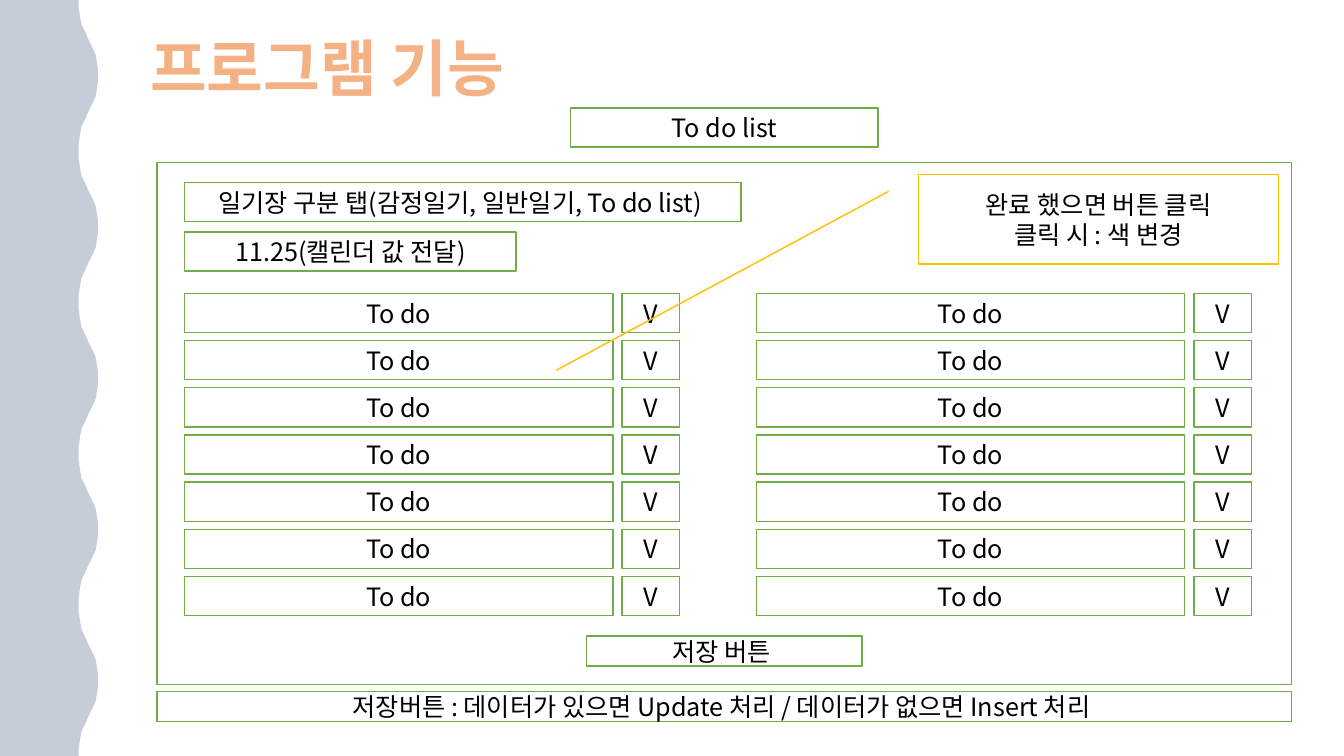
from dataclasses import dataclass

from lxml import etree
from pptx import Presentation
from pptx.dml.color import RGBColor
from pptx.enum.shapes import MSO_SHAPE
from pptx.enum.text import MSO_ANCHOR, MSO_AUTO_SIZE, PP_ALIGN
from pptx.oxml import parse_xml
from pptx.oxml.ns import nsdecls, qn
from pptx.shapes.autoshape import Shape
from pptx.slide import Slide
from pptx.text.text import Font, TextFrame
from pptx.util import Inches, Pt

RECTANGLE = MSO_SHAPE.RECTANGLE
CALLOUT = MSO_SHAPE.LINE_CALLOUT_1
LEFT, CENTER = PP_ALIGN.LEFT, PP_ALIGN.CENTER
TOP, MIDDLE = MSO_ANCHOR.TOP, MSO_ANCHOR.MIDDLE
TITLE_ONLY_LAYOUT = 5
SLIDE_WIDTH, SLIDE_HEIGHT = Inches(13.33), Inches(7.5)


@dataclass(frozen=True)
class Theme:
    """Colours, type sizes and line width of the slide."""

    font: str = "Noto Sans CJK KR"
    title_size: int = 44
    body_size: int = 18
    line_width: int = 1
    text: str = "000000"
    paper: str = "FFFFFF"
    green: str = "70AD47"
    gold: str = "FFC000"
    navy: str = "203864"
    navy_opacity: int = 25
    title_outline: str = "C55A11"
    title_stops: tuple[tuple[int, str], ...] = ((0, "ED7D31"), (4, "F4B183"), (87, "FBE5D6"))


@dataclass(frozen=True)
class Panel:
    """A bordered box placed in percent of the slide's width and height."""

    left: float
    top: float
    width: float
    height: float
    text: str = ""
    border: str = Theme.green
    geometry: MSO_SHAPE = RECTANGLE
    adjustments: tuple[float, ...] = ()


THEME = Theme()
MARGIN = 13.73
FRAME_LEFT, FRAME_WIDTH = 11.7, 84.4
FIELD_HEIGHT, BUTTON_HEIGHT = 5.2, 4
TODO_TOP, TODO_ROWS, ROW_STEP = 38.8, 7, 6.24
TODO_COLUMNS, COLUMN_STEP = 2, 42.54
TODO_WIDTH, CHECK_OFFSET, CHECK_WIDTH = 31.88, 32.56, 4.28

WAVE_COUNT, WAVE_LENGTH = 5, 20
WAVE_RISE = (
    (5.85, 0), (5.85, 0.93), (5.93, 1.87), (6, 2.67), (6.08, 3.33),
    (6.23, 3.87), (6.38, 4.4), (6.53, 5.07), (6.68, 5.6), (6.83, 6.13),
    (6.98, 6.67), (7.13, 7.33), (7.2, 8.13), (7.28, 9.07), (7.28, 10),
)

HEADER_PANELS = (
    Panel(FRAME_LEFT, 21.47, FRAME_WIDTH, 69.07),
    Panel(MARGIN, 30.67, 24.68, FIELD_HEIGHT, "11.25(캘린더 값 전달)"),
    Panel(42.46, 14.27, 22.88, FIELD_HEIGHT, "To do list"),
)
CLOSING_PANELS = (
    Panel(43.66, 84.13, 20.48, BUTTON_HEIGHT, "저장 버튼 "),
    Panel(FRAME_LEFT, 91.47, FRAME_WIDTH, BUTTON_HEIGHT,
          "저장버튼 : 데이터가 있으면 Update 처리 / 데이터가 없으면 Insert 처리 "),
    Panel(68.34, 23.07, 26.78, 11.87, "완료 했으면 버튼 클릭\n클릭 시 : 색 변경",
          THEME.gold, CALLOUT, (0.188, -0.083, 2.182, -1.006)),
    Panel(MARGIN, 24.13, 41.41, FIELD_HEIGHT, "일기장 구분 탭(감정일기, 일반일기, To do list) "),
)


def across(percent: float) -> int:
    """Turn a share of the slide's width into a length."""
    return round(SLIDE_WIDTH * percent / 100)


def down(percent: float) -> int:
    """Turn a share of the slide's height into a length."""
    return round(SLIDE_HEIGHT * percent / 100)


def write_text(frame: TextFrame, text: str, *, size: int = THEME.body_size,
               bold: bool = False, align: PP_ALIGN = CENTER,
               anchor: MSO_ANCHOR = MIDDLE, spacing: float = 1.0) -> list[Font]:
    """Write one paragraph per line and return the fonts used."""
    frame.word_wrap = True
    frame.auto_size = MSO_AUTO_SIZE.NONE
    frame.vertical_anchor = anchor
    fonts = []
    for index, line in enumerate(text.split("\n")):
        paragraph = frame.add_paragraph() if index else frame.paragraphs[0]
        paragraph.alignment = align
        paragraph.line_spacing = spacing
        run = paragraph.add_run()
        run.text = line
        font = run.font
        font.size, font.bold, font.name = Pt(size), bold, THEME.font
        font.color.rgb = RGBColor.from_string(THEME.text)
        properties = run._r.get_or_add_rPr()
        etree.SubElement(properties, qn("a:ea"), typeface=THEME.font)
        fonts.append(font)
    return fonts


def paint_title(font: Font) -> None:
    """Give the title its gradient fill and thin outline."""
    properties = font._element
    properties.remove(properties.find(qn("a:solidFill")))
    stops = "".join(
        f'<a:gs pos="{position * 1000}"><a:srgbClr val="{color}"/></a:gs>'
        for position, color in THEME.title_stops
    )
    gradient = parse_xml(
        f'<a:gradFill {nsdecls("a")}><a:gsLst>{stops}</a:gsLst><a:lin ang="5400000"/></a:gradFill>'
    )
    outline = parse_xml(
        f'<a:ln {nsdecls("a")} w="{Pt(THEME.line_width)}"><a:solidFill>'
        f'<a:srgbClr val="{THEME.title_outline}"/></a:solidFill></a:ln>'
    )
    properties.insert(0, outline)
    properties.insert(1, gradient)


def add_title(slide: Slide, text: str) -> None:
    """Place and format the title placeholder."""
    title = slide.shapes.title
    title.left, title.top = across(10.43), down(4.4)
    title.width, title.height = across(83.27), down(21.73)
    fonts = write_text(title.text_frame, text, size=THEME.title_size, bold=True,
                       align=LEFT, anchor=TOP, spacing=0.9)
    paint_title(fonts[0])


def fill_shape(shape: Shape, color: str) -> None:
    """Fill a shape with a solid colour and drop its shadow."""
    shape.shadow.inherit = False
    shape.fill.solid()
    shape.fill.fore_color.rgb = RGBColor.from_string(color)


def add_wave(slide: Slide, color: str, opacity: int = 100) -> None:
    """Draw the wavy band along the left edge."""
    fall = [(x, WAVE_LENGTH - y) for x, y in reversed(WAVE_RISE[1:-1])]
    edge = [
        (across(x), down(y + wave * WAVE_LENGTH))
        for wave in range(WAVE_COUNT)
        for x, y in (*WAVE_RISE, *fall)
    ]
    corners = [(across(WAVE_RISE[0][0]), SLIDE_HEIGHT), (0, SLIDE_HEIGHT)]
    builder = slide.shapes.build_freeform(0, 0)
    builder.add_line_segments(edge + corners, close=True)
    band = builder.convert_to_shape()
    fill_shape(band, color)
    band.line.fill.background()
    if opacity < 100:
        swatch = band._element.spPr.find(qn("a:solidFill"))[0]
        etree.SubElement(swatch, qn("a:alpha"), val=str(opacity * 1000))


def add_panel(slide: Slide, panel: Panel) -> None:
    """Draw one bordered box with its text."""
    shape = slide.shapes.add_shape(panel.geometry, across(panel.left), down(panel.top),
                                   across(panel.width), down(panel.height))
    fill_shape(shape, THEME.paper)
    shape.line.color.rgb = RGBColor.from_string(panel.border)
    shape.line.width = Pt(THEME.line_width)
    for index, value in enumerate(panel.adjustments):
        shape.adjustments[index] = value
    if panel.text:
        write_text(shape.text_frame, panel.text)


def todo_panels() -> list[Panel]:
    """Lay out the to-do fields and their check buttons."""
    return [
        Panel(MARGIN + column * COLUMN_STEP + offset, TODO_TOP + row * ROW_STEP,
              width, FIELD_HEIGHT, text)
        for column in range(TODO_COLUMNS)
        for row in range(TODO_ROWS)
        for offset, width, text in ((0, TODO_WIDTH, "To do"), (CHECK_OFFSET, CHECK_WIDTH, "V"))
    ]


def main() -> None:
    """Build the slide and save it."""
    presentation = Presentation()
    presentation.slide_width, presentation.slide_height = SLIDE_WIDTH, SLIDE_HEIGHT
    slide = presentation.slides.add_slide(presentation.slide_layouts[TITLE_ONLY_LAYOUT])
    add_title(slide, "프로그램 기능")
    add_wave(slide, THEME.paper)
    add_wave(slide, THEME.navy, THEME.navy_opacity)
    for panel in (*HEADER_PANELS, *todo_panels(), *CLOSING_PANELS):
        add_panel(slide, panel)
    presentation.save("out.pptx")


if __name__ == "__main__":
    main()
